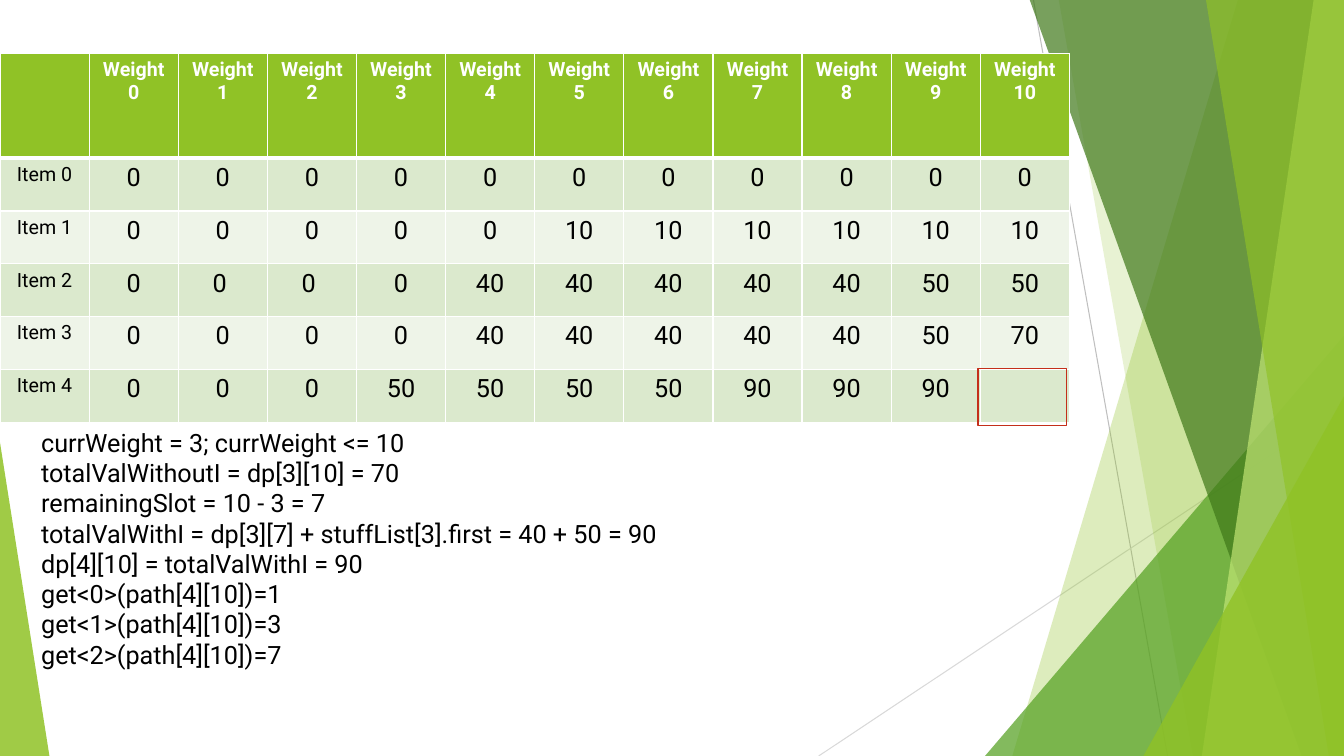
from lxml.etree import SubElement
from pptx import Presentation
from pptx.dml.color import RGBColor
from pptx.enum.shapes import MSO_CONNECTOR, MSO_SHAPE
from pptx.enum.text import MSO_AUTO_SIZE, PP_ALIGN
from pptx.oxml.ns import qn
from pptx.util import Pt

EMU_PER_PX = 9144
SLIDE_WIDTH, SLIDE_HEIGHT = 1333, 750
COLORS = {
    "lime": "90C226", "green": "54A021", "forest": "3F7819", "pale": "C0E474",
    "band_dark": "DBE9CD", "band_light": "EEF4E8", "white": "FFFFFF",
    "black": "000000", "red": "C42F1A", "gray": "BFBFBF", "silver": "D9D9D9",
}
WEIGHTS = [f"Weight {weight}" for weight in range(11)]
BEST_VALUES = [
    ["0"] * 11,
    ["0"] * 5 + ["10"] * 6,
    ["0", "0 ", "0 ", "0"] + ["40"] * 5 + ["50"] * 2,
    ["0"] * 4 + ["40"] * 5 + ["50", "70"],
    ["0"] * 3 + ["50"] * 4 + ["90"] * 3 + [""],
]
STEPS = [
    "currWeight = 3; currWeight <= 10",
    "totalValWithoutI = dp[3][10] = 70",
    "remainingSlot = 10 - 3 = 7",
    "totalValWithI = dp[3][7] + stuffList[3].first = 40 + 50 = 90",
    "dp[4][10] = totalValWithI = 90",
    "get<0>(path[4][10])=1",
    "get<1>(path[4][10])=3",
    "get<2>(path[4][10])=7",
]


def px(length):
    return length * EMU_PER_PX


def rgb(color):
    return RGBColor.from_string(COLORS[color])


class Painter:
    """Draws styled elements on one slide."""

    font = "Roboto"

    def __init__(self, slide):
        self.slide = slide
        self.shapes = slide.shapes

    def line(self, start, end, color):
        ray = self.shapes.add_connector(MSO_CONNECTOR.STRAIGHT, *map(px, start + end))
        ray.line.color.rgb = rgb(color)
        ray.line.width = Pt(0.75)
        SubElement(ray._element.spPr, qn("a:effectLst"))

    def tint(self, facet, color, opacity):
        facet.shadow.inherit = False
        facet.line.fill.background()
        facet.fill.solid()
        facet.fill.fore_color.rgb = rgb(color)
        shade = facet._element.spPr.find(qn("a:solidFill"))[0]
        SubElement(shade, qn("a:alpha"), val=str(opacity * 1000))

    def wedge(self, top_left, bottom_left, color, opacity):
        outline = self.shapes.build_freeform(top_left, -1, scale=EMU_PER_PX)
        outline.add_line_segments(
            [(SLIDE_WIDTH, -1), (SLIDE_WIDTH, SLIDE_HEIGHT), (bottom_left, SLIDE_HEIGHT)])
        self.tint(outline.convert_to_shape(), color, opacity)

    def triangle(self, box, apex, color, opacity):
        facet = self.shapes.add_shape(MSO_SHAPE.ISOSCELES_TRIANGLE, *map(px, box))
        facet.adjustments[0] = apex
        self.tint(facet, color, opacity)

    def frame(self, box, color):
        marker = self.shapes.add_shape(MSO_SHAPE.RECTANGLE, *map(px, box))
        marker.shadow.inherit = False
        marker.fill.background()
        marker.line.color.rgb = rgb(color)
        marker.line.width = Pt(0.75)

    def add_words(self, paragraph, words, size, color="black", bold=False):
        run = paragraph.add_run()
        run.text = words
        run.font.name = self.font
        run.font.size = Pt(size)
        run.font.bold = bold
        run.font.color.rgb = rgb(color)

    def borders(self, cell, top, bottom):
        properties = cell._tc.get_or_add_tcPr()
        for side, width in (("L", 1), ("R", 1), ("T", top), ("B", bottom)):
            edge = SubElement(properties, qn(f"a:ln{side}"), w=str(Pt(width)))
            SubElement(SubElement(edge, qn("a:solidFill")), qn("a:srgbClr"), val=COLORS["white"])

    def cell(self, cell, words, row, column):
        header = row == 0
        self.borders(cell, 3 if row == 1 else 1, 3 if header else 1)
        cell.fill.solid()
        band = "band_dark" if row % 2 else "band_light"
        cell.fill.fore_color.rgb = rgb("lime" if header else band)
        paragraph = cell.text_frame.paragraphs[0]
        paragraph.alignment = PP_ALIGN.CENTER
        if words:
            self.add_words(paragraph, words, 14 if header or column == 0 else 18,
                           "white" if header else "black", header)

    def table(self, box, header_height, rows):
        left, top, width, height = map(px, box)
        grid = self.shapes.add_table(len(rows), len(rows[0]), left, top, width, height).table
        for column in grid.columns:
            column.width = width // len(rows[0])
        for row in grid.rows:
            row.height = (height - px(header_height)) // (len(rows) - 1)
        grid.rows[0].height = px(header_height)
        for row, entries in enumerate(rows):
            for column, words in enumerate(entries):
                self.cell(grid.cell(row, column), words, row, column)

    def text(self, box, lines, size):
        frame = self.shapes.add_textbox(*map(px, box)).text_frame
        frame.word_wrap = True
        frame.auto_size = MSO_AUTO_SIZE.SHAPE_TO_FIT_TEXT
        for index, words in enumerate(lines):
            paragraph = frame.add_paragraph() if index else frame.paragraphs[0]
            self.add_words(paragraph, words, size)


def main():
    deck = Presentation()
    deck.slide_width, deck.slide_height = px(SLIDE_WIDTH), px(SLIDE_HEIGHT)
    painter = Painter(deck.slides.add_slide(deck.slide_layouts[6]))

    painter.line((1025, 0), (1158, 750), "gray")
    painter.line((1333, 403), (812, 750), "silver")
    painter.wedge(1228, 1004, "lime", 30)
    painter.wedge(1050, 1183, "lime", 20)
    painter.triangle((977, 333, 356, 417), 1, "green", 72)
    painter.wedge(1021, 1291, "forest", 70)
    painter.wedge(1303, 1192, "pale", 70)
    painter.wedge(1196, 1318, "lime", 65)
    painter.triangle((1134, 393, 199, 357), 1, "lime", 80)
    painter.triangle((0, 439, 49, 311), 0, "lime", 85)

    items = [[f"Item {item}"] + values for item, values in enumerate(BEST_VALUES)]
    painter.table((0, 53, 1061, 366), 104, [[""] + WEIGHTS] + items)
    painter.frame((970, 366, 88, 56), "red")
    painter.text((31, 419, 1006, 343), STEPS, 18)
    deck.save("out.pptx")


if __name__ == "__main__":
    main()
